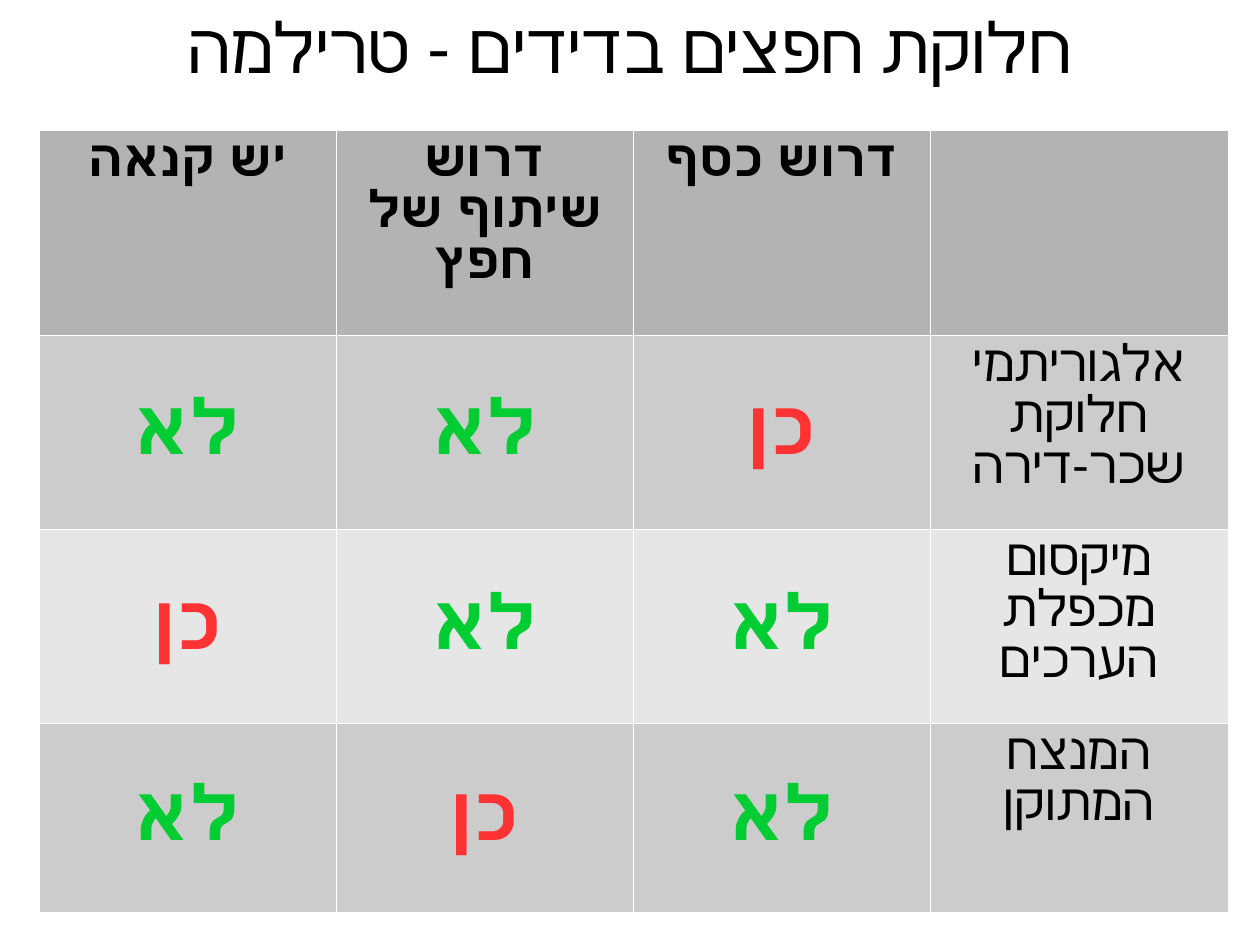
"""Builds a slide with a table of the trilemma in dividing discrete items."""
from lxml import etree
from pptx import Presentation
from pptx import util as u
from pptx.dml.color import RGBColor as Rgb
from pptx.enum import text
from pptx.oxml.ns import qn

theme = {
    "font": "Arial", "title": 44, "label": 32, "mark": 48,
    "ink": "000000", "line": "FFFFFF", "head": "B3B3B3",
    "bands": ["CCCCCC", "E6E6E6"],
    "marks": {"כן": "FF3333", "לא": "00CC33"},
}


def write(frame, words, size, color=theme["ink"], bold=False):
    para = frame.paragraphs[0]
    para.alignment = text.PP_ALIGN.CENTER
    para._p.get_or_add_pPr().set("rtl", "1")
    run = para.add_run()
    run.text = words
    font = run.font
    font.name, font.size, font.bold = theme["font"], u.Pt(size), bold
    font.color.rgb = Rgb.from_string(color)


def edge(cell):
    props = cell._tc.get_or_add_tcPr()
    for spot, side in enumerate(("lnL", "lnR", "lnT", "lnB")):
        line = etree.Element(qn(f"a:{side}"), w=str(u.Pt(0.06)))
        solid = etree.SubElement(line, qn("a:solidFill"))
        etree.SubElement(solid, qn("a:srgbClr"), val=theme["line"])
        props.insert(spot, line)


deck = Presentation()
deck.slide_width, deck.slide_height = u.Cm(28), u.Cm(21)
slide = deck.slides.add_slide(deck.slide_layouts[5])

title = slide.shapes.title
title.left, title.top = 0, u.Inches(-0.1)
title.width, title.height = deck.slide_width, u.Inches(1)
frame = title.text_frame
frame.margin_left = frame.margin_right = frame.margin_top = frame.margin_bottom = 0
frame.vertical_anchor = text.MSO_ANCHOR.MIDDLE
frame.word_wrap = True
write(frame, "חלוקת חפצים בדידים - טרילמה", theme["title"])

rows = [
    ("יש קנאה", "דרוש שיתוף של חפץ", "דרוש כסף", ""),
    ("לא", "לא", "כן", "אלגוריתמי חלוקת שכר-דירה"),
    ("כן", "לא", "לא", "מיקסום מכפלת הערכים"),
    ("לא", "כן", "לא", "המנצח המתוקן"),
]
tall = [1.79, 1.7, 1.7, 1.65]
wide = 2.6
grid = slide.shapes.add_table(
    len(rows), len(rows[0]), u.Inches(0.34), u.Inches(1.14),
    u.Inches(wide * len(rows[0])), u.Inches(sum(tall))).table

for col in grid.columns:
    col.width = u.Inches(wide)
for r, row in enumerate(rows):
    grid.rows[r].height = u.Inches(tall[r])
    shade = theme["bands"][(r - 1) % 2] if r else theme["head"]
    for c, words in enumerate(row):
        cell = grid.cell(r, c)
        cell.fill.solid()
        cell.fill.fore_color.rgb = Rgb.from_string(shade)
        edge(cell)
        if words in theme["marks"]:
            cell.vertical_anchor = text.MSO_ANCHOR.MIDDLE
            write(cell.text_frame, words, theme["mark"],
                  color=theme["marks"][words], bold=True)
        elif words:
            write(cell.text_frame, words, theme["label"], bold=r == 0)

deck.save("out.pptx")
